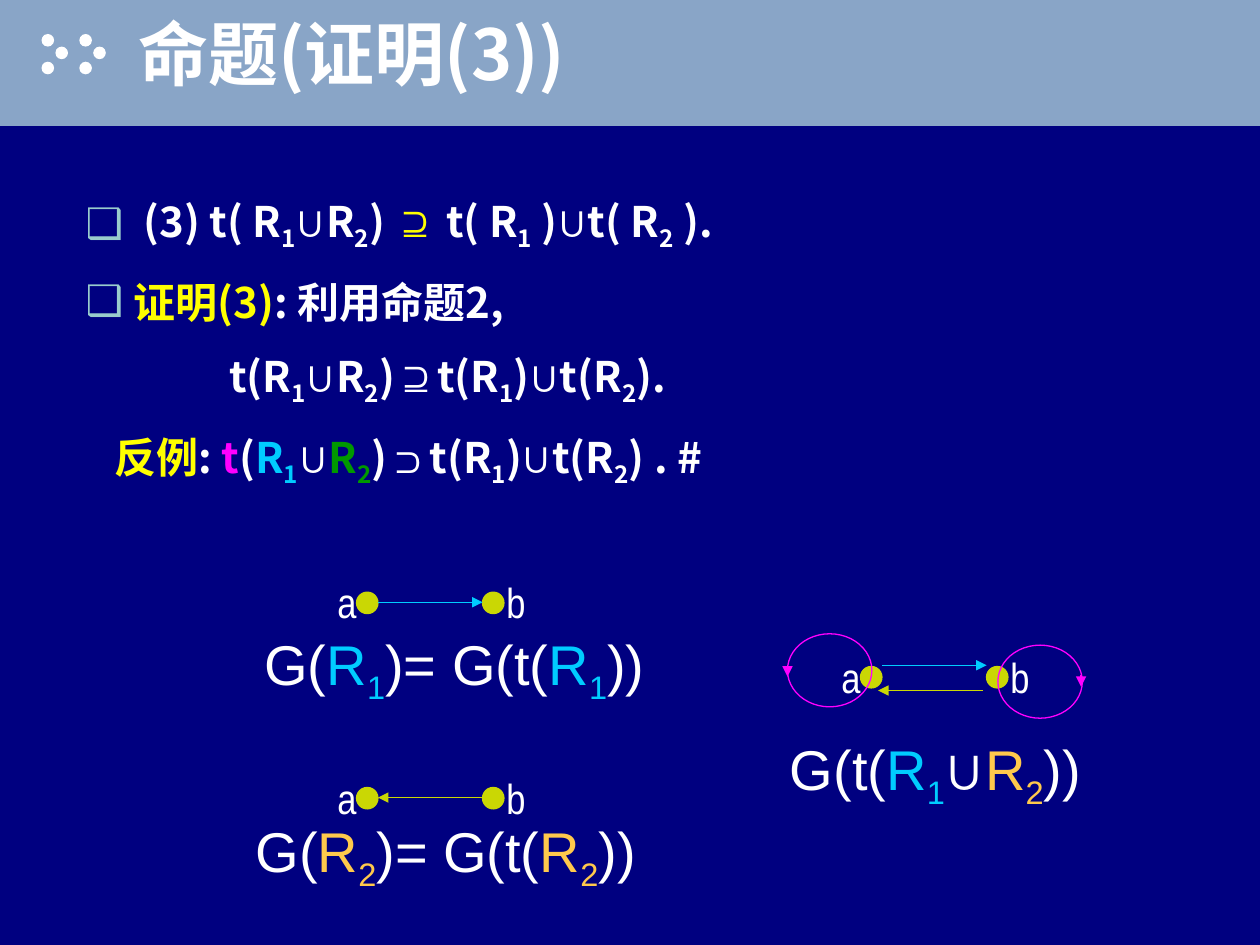
from dataclasses import dataclass
from itertools import groupby

from lxml import etree
from pptx import Presentation
from pptx.dml.color import RGBColor
from pptx.enum.shapes import MSO_CONNECTOR, MSO_SHAPE
from pptx.enum.text import MSO_ANCHOR, MSO_AUTO_SIZE, PP_ALIGN
from pptx.oxml.ns import qn
from pptx.util import Inches, Pt

RECT, OVAL = MSO_SHAPE.RECTANGLE, MSO_SHAPE.OVAL
STRAIGHT = MSO_CONNECTOR.STRAIGHT
LEFT, MIDDLE, TOP = PP_ALIGN.LEFT, MSO_ANCHOR.MIDDLE, MSO_ANCHOR.TOP
FIXED = MSO_AUTO_SIZE.NONE
SET_SYMBOLS = "∪⊇⊃"


@dataclass(frozen=True)
class Theme:
    background: str = "000080"
    band: str = "89A5C7"
    white: str = "FFFFFF"
    bullet: str = "99CCCC"
    yellow: str = "FFFF00"
    magenta: str = "FF00FF"
    cyan: str = "00CCFF"
    green: str = "009900"
    orange: str = "FFC94C"
    node: str = "CAD704"
    text_font: str = "Noto Sans CJK SC"
    symbol_font: str = "Arial"
    label_font: str = "Arial Narrow"
    title_size: int = 40
    body_size: int = 24
    formula_size: int = 32
    paragraph_gap: float = 13.5


T = Theme()


def add_run(p, text, *, size, font, color=T.white, bold=False, sub=False):
    r = p.add_run()
    r.text = text
    r.font.size, r.font.bold, r.font.name = Pt(size), bold, font
    r.font.color.rgb = RGBColor.from_string(color)
    rPr = r.font._element
    etree.SubElement(rPr, qn("a:ea")).set("typeface", font)
    if sub:
        rPr.set("baseline", "-25000")
    return r


def add_math(p, pieces, *, font, **style):
    """Write (text, colour) pieces; a digit after an underscore is a subscript."""
    for text, color in pieces:
        marked = [(c, i > 0 and text[i - 1] == "_", c in SET_SYMBOLS)
                  for i, c in enumerate(text) if c != "_"]
        for (sub, symbol), group in groupby(marked, key=lambda m: m[1:]):
            add_run(p, "".join(m[0] for m in group), color=color, sub=sub,
                    font=T.symbol_font if symbol else font, **style)


def add_shape(slide, kind, left, top, width, height, fill=None, line=None):
    sp = slide.shapes.add_shape(kind, Inches(left), Inches(top), Inches(width), Inches(height))
    sp.shadow.inherit = False
    if fill:
        sp.fill.solid()
        sp.fill.fore_color.rgb = RGBColor.from_string(fill)
    else:
        sp.fill.background()
    if line:
        sp.line.color.rgb = RGBColor.from_string(line)
        sp.line.width = Pt(0.75)
    else:
        sp.line.fill.background()
    return sp


def add_arrow(slide, start, end, color):
    line = slide.shapes.add_connector(STRAIGHT, *map(Inches, (*start, *end)))
    line.line.color.rgb = RGBColor.from_string(color)
    line.line.width = Pt(0.75)
    etree.SubElement(line.line._get_or_add_ln(), qn("a:tailEnd")).set("type", "triangle")
    etree.SubElement(line._element.spPr, qn("a:effectLst"))


def add_text(slide, left, top, width, height, pieces, **style):
    box = slide.shapes.add_textbox(Inches(left), Inches(top), Inches(width), Inches(height))
    box.text_frame.word_wrap = True
    add_math(box.text_frame.paragraphs[0], pieces, **style)


def add_formula(slide, left, top, width, pieces):
    add_text(slide, left, top, width, 0.71, pieces, font=T.symbol_font, size=T.formula_size)


def add_nodes(slide, left, top):
    """Draw nodes a and b with their labels."""
    for x in (left + 0.25, left + 1.25):
        add_shape(slide, OVAL, x, top + 0.17, 0.17, 0.17, T.node, T.node)
    for name, x in (("a", left), ("b", left + 1.34)):
        add_text(slide, x, top, 0.33, 0.5, [(name, T.white)],
                 font=T.label_font, size=T.body_size)


def place(sp, left, top, width, height, anchor):
    """Move a placeholder and bring it in front of the header band."""
    sp.left, sp.top, sp.width, sp.height = map(Inches, (left, top, width, height))
    sp.text_frame.vertical_anchor = anchor
    sp.text_frame.auto_size = FIXED
    sp._element.getparent().append(sp._element)


def set_indent(p, left, bullet):
    pPr = p._p.get_or_add_pPr()
    pPr.set("marL", str(Inches(left)))
    pPr.set("indent", str(-Inches(left) if bullet else 0))
    if bullet:
        color = etree.SubElement(pPr, qn("a:buClr"))
        etree.SubElement(color, qn("a:srgbClr")).set("val", T.bullet)
        etree.SubElement(pPr, qn("a:buChar")).set("char", "❑")
    else:
        etree.SubElement(pPr, qn("a:buNone"))


def add_text_shadow(r):
    rPr = r.font._element
    effects = etree.Element(qn("a:effectLst"))
    shadow = etree.SubElement(effects, qn("a:outerShdw"), dist="38100", dir="2700000")
    etree.SubElement(shadow, qn("a:srgbClr")).set("val", "000000")
    rPr.find(qn("a:solidFill")).addnext(effects)


def add_header(slide):
    add_shape(slide, RECT, 0, 0, 10, 1, T.band)
    for left in (0.33, 0.63):
        for dx, top in ((0, 0.27), (0.11, 0.37), (0, 0.49)):
            add_shape(slide, OVAL, left + dx, top, 0.1, 0.1, T.white)
    title = slide.shapes.title
    place(title, 1, 0, 9, 0.83, MIDDLE)
    p = title.text_frame.paragraphs[0]
    p.alignment = LEFT
    add_text_shadow(add_run(p, "命题(证明(3))", size=T.title_size, font=T.text_font, bold=True))


def add_proof(slide):
    lines = [
        (0.46, True, [("(3) t( R_1∪R_2) ", T.white), ("⊇", T.yellow),
                      (" t( R_1 )∪t( R_2 ).", T.white)]),
        (0.38, True, [("证明(3)", T.yellow), (": 利用命题2,", T.white)]),
        (1.14, False, [("t(R_1∪R_2)⊇t(R_1)∪t(R_2).", T.white)]),
        (0.23, False, [("反例", T.yellow), (": ", T.white), ("t", T.magenta),
                       ("(", T.white), ("R_1", T.cyan), ("∪", T.white),
                       ("R_2", T.green), (")⊃t(R_1)∪t(R_2) . #", T.white)]),
    ]
    body = slide.placeholders[1]
    place(body, 0.58, 1.5, 9.08, 3.11, TOP)
    tf = body.text_frame
    for i, (indent, bullet, pieces) in enumerate(lines):
        p = tf.add_paragraph() if i else tf.paragraphs[0]
        set_indent(p, indent, bullet)
        p.space_before = Pt(T.paragraph_gap if i else 0)
        add_math(p, pieces, font=T.text_font, size=T.body_size, bold=True)


def add_relation(slide, top, start, end, arrow_color, formula_at, name, color):
    """Draw the graph of one relation with its formula below."""
    add_nodes(slide, 2.58, top)
    add_arrow(slide, (start, top + 0.25), (end, top + 0.25), arrow_color)
    add_formula(slide, *formula_at, 3.58, [
        ("G(", T.white), (name, color), (")= G(t(", T.white), (name, color), ("))", T.white)])


def add_union(slide):
    add_nodes(slide, 6.58, 5.12)
    add_arrow(slide, (7, 5.28), (7.83, 5.28), T.cyan)
    add_arrow(slide, (7.8, 5.48), (6.97, 5.48), T.node)
    for left, top, tip_x, tip_y in ((6.25, 5.03, 6.25, 5.37), (7.92, 5.12, 8.58, 5.45)):
        add_shape(slide, OVAL, left, top, 0.67, 0.58, line=T.magenta)
        add_arrow(slide, (tip_x, tip_y - 0.09), (tip_x, tip_y), T.magenta)
    add_formula(slide, 6.17, 5.78, 2.67, [
        ("G(t(", T.white), ("R_1", T.cyan), ("∪", T.white), ("R_2", T.orange), ("))", T.white)])


def main():
    prs = Presentation()
    prs.slide_width, prs.slide_height = Inches(10), Inches(7.5)
    slide = prs.slides.add_slide(prs.slide_layouts[1])
    slide.background.fill.solid()
    slide.background.fill.fore_color.rgb = RGBColor.from_string(T.background)
    add_header(slide)
    add_proof(slide)
    add_union(slide)
    add_relation(slide, 4.53, 3, 3.83, T.cyan, (2, 4.95), "R_1", T.cyan)
    add_relation(slide, 6.08, 3.83, 3, T.node, (1.93, 6.43), "R_2", T.orange)
    prs.save("out.pptx")


if __name__ == "__main__":
    main()
